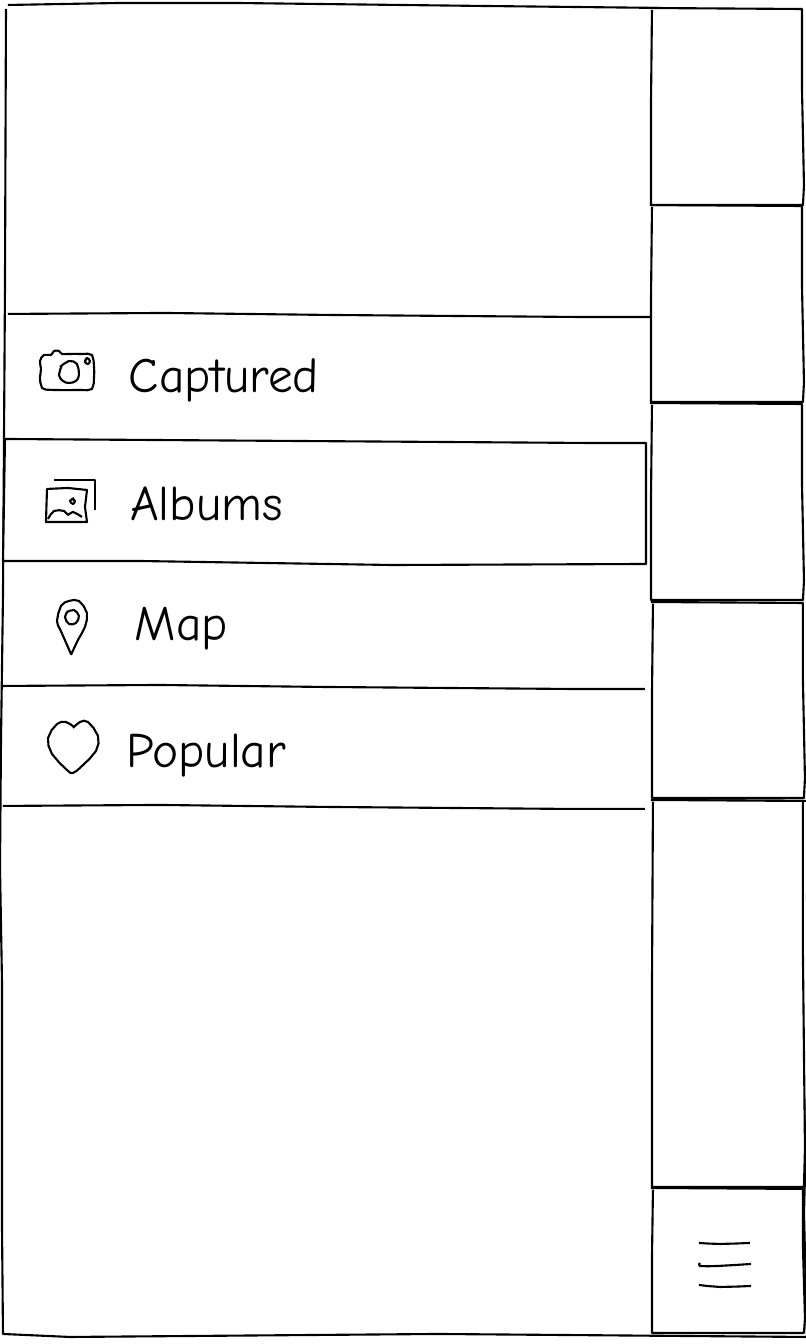
"""Build a hand-drawn wireframe of a photo app's side menu."""
from pptx import Presentation
from pptx import util as u
from pptx.dml.color import RGBColor
from pptx.enum import text

SCALE = 914400 / 75.6
WIDTH, HEIGHT = 806, 1344
INK = RGBColor(0, 0, 0)
PAPER = RGBColor(255, 255, 255)
STEPS = 2

PANEL = [
    (8, 5), (119, 3), (236, 3), (482, 6), (662, 8), (659, 101), (660, 210),
    (663, 315), (656, 365), (657, 414), (661, 608), (662, 708), (655, 800),
    (809, 801), (807, 897), (809, 999), (807, 1099), (804, 1213), (807, 1337),
    (438, 1334), (70, 1337), (3, 1334), (2, 1225), (2, 1090), (2, 982),
    (0, 867), (1, 742), (3, 596), (5, 289), (6, 9),
]
SELECTED_ROW = [(6, 439), (588, 443), (646, 443), (646, 564), (392, 565),
                (139, 561), (3, 561), (5, 438)]
BACK_PHOTO = [(54, 480), (95, 480), (95, 510)]
DIVIDERS = [(8, 314), (3, 686), (3, 806)]
PHOTO_TILES = [(651, 602, 196), (650, 403, 197), (650, 205, 197), (650, 8, 197)]
DRAWER_TILES = [(651, 800, 387), (651, 1188, 145)]
CAMERA_BODY = [
    (40, 377), (41, 369), (40, 361), (44, 355), (51, 355), (54, 351), (59, 351),
    (62, 354), (68, 354), (82, 354), (92, 355), (94, 367), (94, 377), (92, 389),
    (80, 390), (53, 390), (42, 388), (40, 377),
]
CAMERA_LENS = [(62, 365), (59, 375), (63, 381), (69, 383), (76, 381),
               (79, 375), (77, 364), (69, 361), (60, 367)]
CAMERA_FLASH = [(87, 358), (85, 362), (88, 364), (90, 361), (87, 358), (85, 361)]
FRONT_PHOTO = [(46, 521), (47, 489), (68, 488), (87, 490), (85, 507),
               (87, 522), (66, 522), (45, 522)]
PHOTO_HILLS = [(48, 519), (54, 511), (64, 511), (68, 515), (73, 512), (82, 517)]
PHOTO_SUN = [(74, 498), (70, 501), (73, 504), (75, 501), (72, 499)]
PIN = [(71, 654), (64, 638), (60, 629), (57, 621), (61, 606), (69, 601),
       (79, 601), (87, 613), (85, 627), (78, 640), (71, 655)]
PIN_HOLE = [(68, 611), (65, 617), (69, 624), (76, 623), (79, 616), (74, 610),
            (67, 612)]
HEART = [(73, 728), (80, 722), (88, 722), (98, 736), (96, 751), (82, 766),
         (73, 773), (67, 770), (52, 754), (48, 738), (57, 724), (66, 722),
         (74, 727)]
MENU_BARS = [
    [(699, 1243), (720, 1244), (750, 1243)],
    [(700, 1263), (700, 1266), (718, 1266), (751, 1264)],
    [(699, 1285), (720, 1287), (751, 1286)],
]
CAMERA = [CAMERA_BODY, CAMERA_LENS, CAMERA_FLASH]
OTHER_ICONS = [PHOTO_HILLS, PHOTO_SUN, PIN, PIN_HOLE, HEART]
LABELS = [("Captured", 116, 343, 216), ("Albums", 119, 471, 175),
          ("Map", 130, 591, 103), ("Popular", 116, 718, 181)]
LABEL_HEIGHT = 59
FRAME_FORMAT = {
    "margin_left": 0, "margin_top": 0, "margin_right": 0, "margin_bottom": 0,
    "word_wrap": False, "vertical_anchor": text.MSO_ANCHOR.MIDDLE,
}
FONT_FORMAT = {"name": "Comic Neue", "size": u.Pt(47)}


def px(length):
    """Turn pixels into EMU."""
    return u.Emu(round(length * SCALE))


def apply(target, values):
    """Set each named attribute on the target."""
    for name, value in values.items():
        setattr(target, name, value)


def blend(a, b, c, d, t):
    """Return the Catmull-Rom value between b and c at t."""
    return (2 * b + (c - a) * t + (2 * a - 5 * b + 4 * c - d) * t ** 2
            + (3 * b - a - 3 * c + d) * t ** 3) / 2


def smooth(points):
    """Return a smooth curve running through the points."""
    padded = [points[0], *points, points[-1]]
    curve = [points[0]]
    for quad in zip(padded, padded[1:], padded[2:], padded[3:]):
        for step in range(1, STEPS + 1):
            curve.append(tuple(blend(*axis, step / STEPS) for axis in zip(*quad)))
    return curve


def add_stroke(slide, points):
    """Draw an open pen stroke over a paper fill."""
    start, *rest = [(px(x), px(y)) for x, y in points]
    builder = slide.shapes.build_freeform(*start, scale=1.0)
    builder.add_line_segments(rest, close=False)
    stroke = builder.convert_to_shape()
    stroke.shadow.inherit = False
    stroke.fill.solid()
    stroke.fill.fore_color.rgb = PAPER
    stroke.line.color.rgb = INK
    stroke.line.width = u.Pt(2)


def add_curves(slide, curves):
    """Draw each list of points as a smooth stroke."""
    for curve in curves:
        add_stroke(slide, smooth(curve))


def add_divider(slide, left, top):
    """Draw a slightly sagging line across the menu."""
    offsets = [(0, 0), (157, -1), (322, 1), (567, 3), (642, 3)]
    add_stroke(slide, [(left + x, top + y) for x, y in offsets])


def add_tile(slide, left, top, height):
    """Draw one wobbly tile of the right-hand column."""
    bottom = top + height
    add_stroke(slide, [
        (left, top), (left + 152, top + 1), (left + 152, top + height * 0.4),
        (left + 154, top + height * 0.9), (left + 153, bottom),
        (left + 1, bottom), (left + 1, top + height * 0.5), (left + 2, top + 2),
    ])


def add_label(slide, words, left, top, width):
    """Write the name of one menu row."""
    box = slide.shapes.add_textbox(px(left), px(top), px(width), px(LABEL_HEIGHT))
    apply(box.text_frame, FRAME_FORMAT)
    para = box.text_frame.paragraphs[0]
    para.alignment = text.PP_ALIGN.CENTER
    span = para.add_run()
    span.text = words
    apply(span.font, FONT_FORMAT)
    span.font.color.rgb = INK


def main():
    """Build and save the deck."""
    deck = Presentation()
    apply(deck, {"slide_width": px(WIDTH), "slide_height": px(HEIGHT)})
    slide = deck.slides.add_slide(deck.slide_layouts[6])
    for outline in (PANEL, SELECTED_ROW, BACK_PHOTO):
        add_stroke(slide, outline)
    for divider in DIVIDERS:
        add_divider(slide, *divider)
    for tile in PHOTO_TILES:
        add_tile(slide, *tile)
    add_curves(slide, CAMERA)
    add_stroke(slide, FRONT_PHOTO)
    add_curves(slide, OTHER_ICONS)
    for tile in DRAWER_TILES:
        add_tile(slide, *tile)
    add_curves(slide, MENU_BARS)
    for label in LABELS:
        add_label(slide, *label)
    deck.save("out.pptx")


main()
